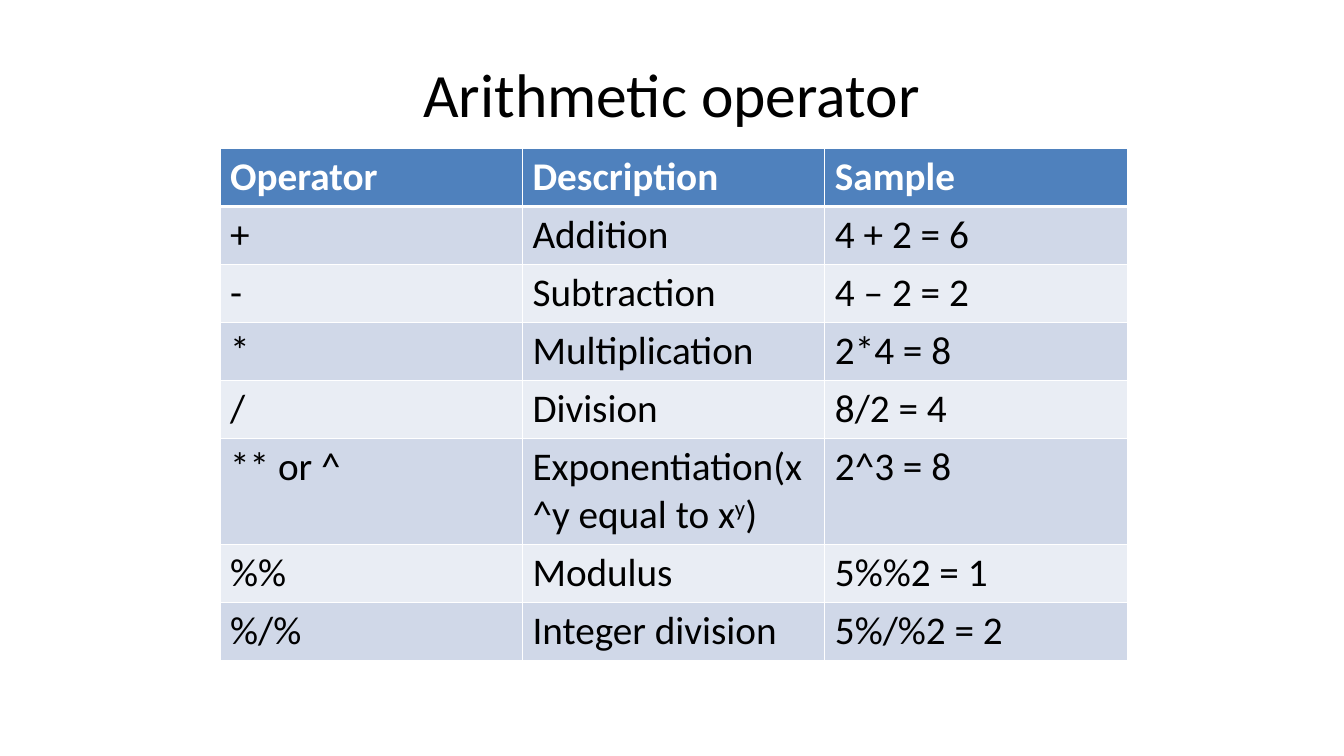
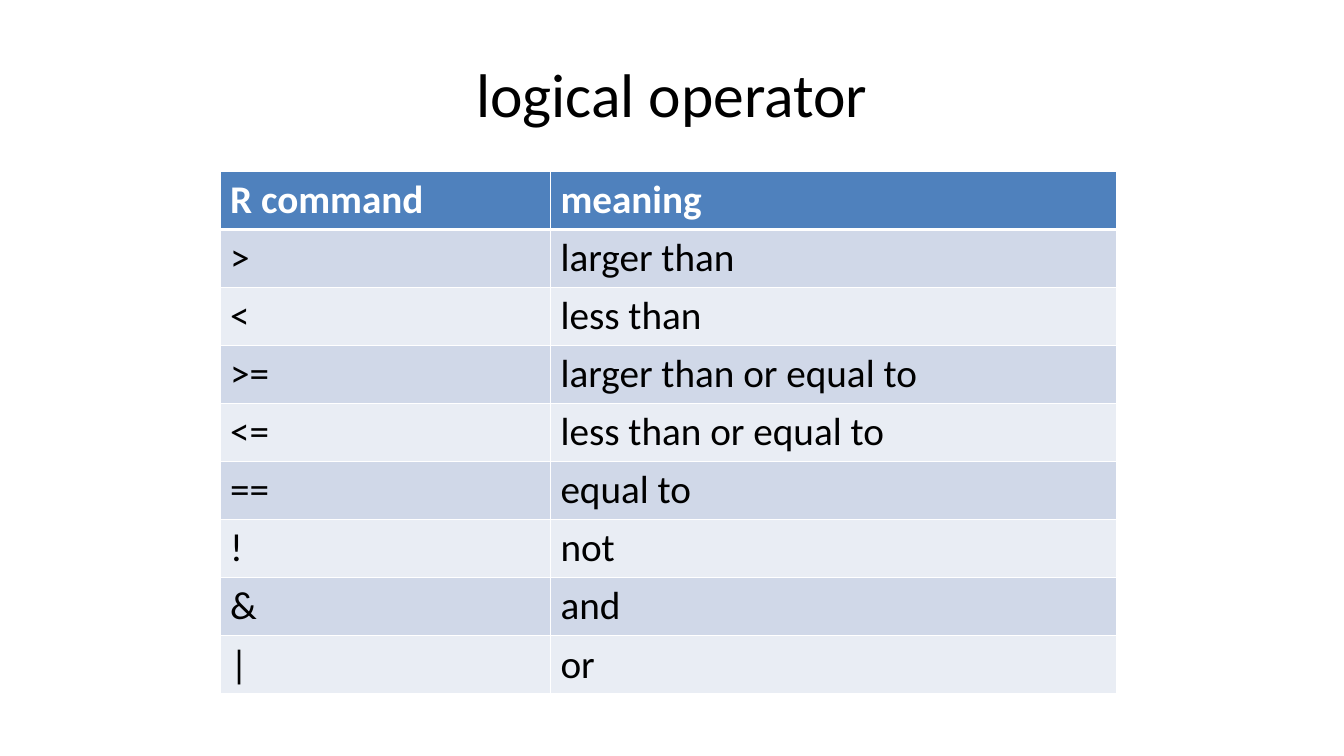
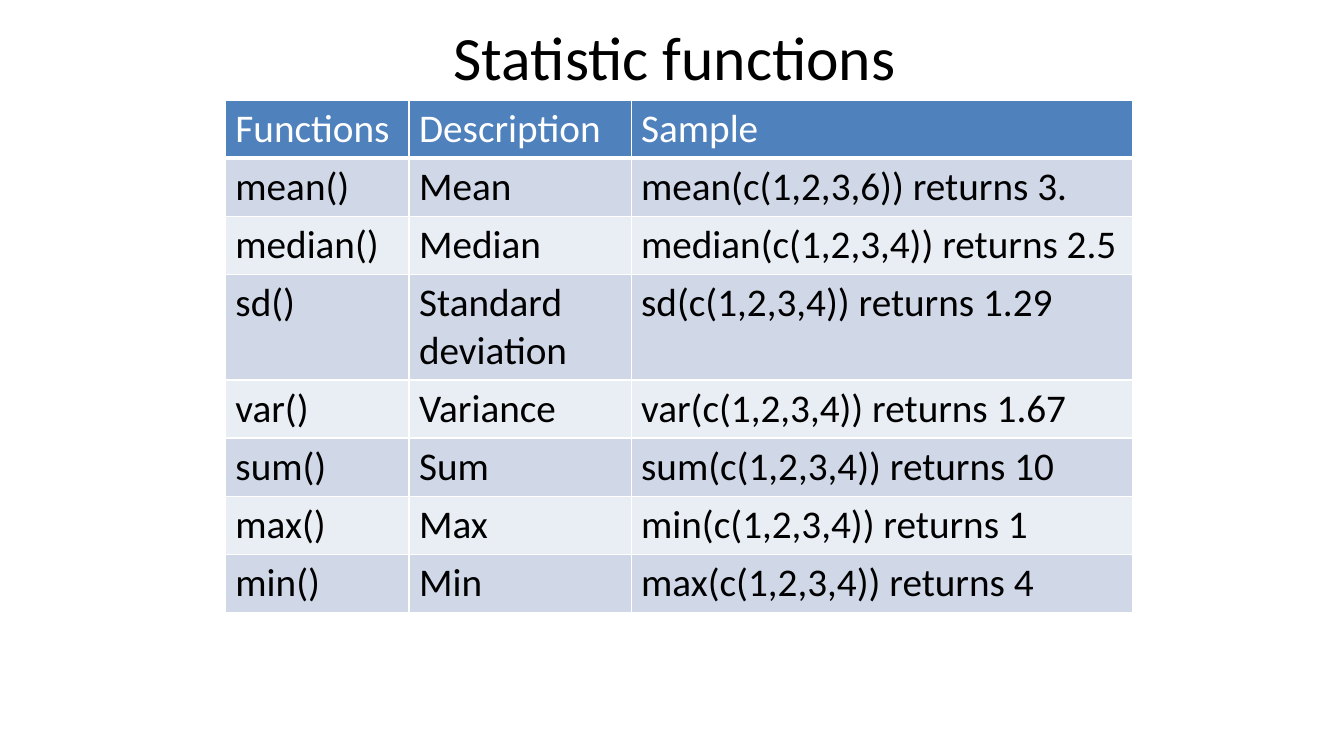
from dataclasses import dataclass

import lxml.etree
import pptx
import pptx.dml.color
import pptx.enum.text
import pptx.oxml.ns
import pptx.presentation
import pptx.slide
import pptx.table
import pptx.util

# Shared look
BLACK = pptx.dml.color.RGBColor(0x00, 0x00, 0x00)
WHITE = pptx.dml.color.RGBColor(0xFF, 0xFF, 0xFF)
HEADER_BLUE = pptx.dml.color.RGBColor(0x4F, 0x81, 0xBD)
BAND_DARK = pptx.dml.color.RGBColor(0xD0, 0xD8, 0xE8)
BAND_LIGHT = pptx.dml.color.RGBColor(0xE9, 0xED, 0xF4)
FONT = "Calibri"
TITLE_SIZE = 44
CELL_SIZE = 28
ROW_HEIGHT = 41.4
GRID_WIDTH = 1
HEADER_RULE_WIDTH = 3
TITLE_ONLY = 5


@dataclass(frozen=True)
class TextRun:
    text: str
    superscript: bool = False


Cell = str | tuple[TextRun, ...]


@dataclass(frozen=True)
class Box:
    left: float
    top: float
    width: float
    height: float


@dataclass(frozen=True)
class TableSlide:
    title: str
    title_box: Box
    table_left: float
    table_top: float
    column_widths: tuple[float, ...]
    rows: tuple[tuple[Cell, ...], ...]
    bold_header: bool = True


STANDARD_TITLE = Box(48, 21.6, 864, 90)
HIGH_TITLE = Box(48, 9.2, 868, 61.2)

# Content, header row first
SLIDES = (
    TableSlide(
        "Arithmetic operator", STANDARD_TITLE, 157.2, 106, (216, 216, 216),
        (
            ("Operator", "Description", "Sample"),
            ("+", "Addition", "4 + 2 = 6"),
            ("-", "Subtraction", "4 – 2 = 2"),
            ("*", "Multiplication", "2*4 = 8"),
            ("/", "Division", "8/2 = 4"),
            (
                "** or ^",
                (TextRun("Exponentiation(x^y equal to x"), TextRun("y", True), TextRun(")")),
                "2^3 = 8",
            ),
            ("%%", "Modulus", "5%%2 = 1"),
            ("%/%", "Integer division", "5%/%2 = 2"),
        ),
    ),
    TableSlide(
        "logical operator", STANDARD_TITLE, 157.2, 122.5, (236, 404.4),
        (
            ("R command", "meaning"),
            (">", "larger than"),
            ("<", "less than"),
            (">=", "larger than or equal to"),
            ("<=", "less than or equal to"),
            ("==", "equal to"),
            ("!", "not"),
            ("&", "and"),
            ("|", "or"),
        ),
    ),
    TableSlide(
        "Statistic functions", HIGH_TITLE, 161, 71.5, (131.2, 158.6, 358),
        (
            ("Functions", "Description", "Sample"),
            ("mean()", "Mean", "mean(c(1,2,3,6)) returns 3."),
            ("median()", "Median", "median(c(1,2,3,4)) returns 2.5"),
            ("sd()", "Standard deviation", "sd(c(1,2,3,4)) returns 1.29"),
            ("var()", "Variance", "var(c(1,2,3,4)) returns 1.67"),
            ("sum()", "Sum", "sum(c(1,2,3,4)) returns 10"),
            ("max()", "Max", "min(c(1,2,3,4)) returns 1"),
            ("min()", "Min", "max(c(1,2,3,4)) returns 4"),
        ),
        bold_header=False,
    ),
)


def add_run(paragraph, piece: TextRun, size: float,
            color: pptx.dml.color.RGBColor, bold: bool = False) -> None:
    run = paragraph.add_run()
    run.text = piece.text
    run.font.name = FONT
    run.font.size = pptx.util.Pt(size)
    run.font.bold = bold
    run.font.color.rgb = color
    if piece.superscript:
        run.font._element.set("baseline", "30000")


def draw_title(slide: pptx.slide.Slide, text: str, box: Box) -> None:
    title = slide.shapes.title
    title.left, title.top = pptx.util.Pt(box.left), pptx.util.Pt(box.top)
    title.width, title.height = pptx.util.Pt(box.width), pptx.util.Pt(box.height)
    frame = title.text_frame
    frame.word_wrap = True
    frame.auto_size = pptx.enum.text.MSO_AUTO_SIZE.NONE
    frame.vertical_anchor = pptx.enum.text.MSO_ANCHOR.MIDDLE
    frame.paragraphs[0].alignment = pptx.enum.text.PP_ALIGN.CENTER
    add_run(frame.paragraphs[0], TextRun(text), TITLE_SIZE, BLACK)


def set_borders(cell: pptx.table._Cell, row: int) -> None:
    """Draw the white grid, with a thicker rule under the header row."""
    qn = pptx.oxml.ns.qn
    properties = cell._tc.get_or_add_tcPr()
    widths = {
        "a:lnL": GRID_WIDTH,
        "a:lnR": GRID_WIDTH,
        "a:lnT": HEADER_RULE_WIDTH if row == 1 else GRID_WIDTH,
        "a:lnB": HEADER_RULE_WIDTH if row == 0 else GRID_WIDTH,
    }
    for tag, width in widths.items():
        line = lxml.etree.SubElement(properties, qn(tag), w=str(pptx.util.Pt(width)))
        fill = lxml.etree.SubElement(line, qn("a:solidFill"))
        lxml.etree.SubElement(fill, qn("a:srgbClr"), val=str(WHITE))


def draw_table(slide: pptx.slide.Slide, content: TableSlide) -> None:
    table = slide.shapes.add_table(
        len(content.rows), len(content.column_widths),
        pptx.util.Pt(content.table_left), pptx.util.Pt(content.table_top),
        pptx.util.Pt(sum(content.column_widths)),
        pptx.util.Pt(ROW_HEIGHT * len(content.rows)),
    ).table
    for column, width in zip(table.columns, content.column_widths):
        column.width = pptx.util.Pt(width)
    for row, entries in enumerate(content.rows):
        is_header = row == 0
        band = HEADER_BLUE if is_header else BAND_DARK if row % 2 else BAND_LIGHT
        for column, entry in enumerate(entries):
            cell = table.cell(row, column)
            set_borders(cell, row)
            cell.fill.solid()
            cell.fill.fore_color.rgb = band
            pieces = (TextRun(entry),) if isinstance(entry, str) else entry
            for piece in pieces:
                add_run(cell.text_frame.paragraphs[0], piece, CELL_SIZE,
                        WHITE if is_header else BLACK,
                        is_header and content.bold_header)


def draw_slide(deck: pptx.presentation.Presentation, content: TableSlide) -> None:
    slide = deck.slides.add_slide(deck.slide_layouts[TITLE_ONLY])
    draw_title(slide, content.title, content.title_box)
    draw_table(slide, content)


def main() -> None:
    deck = pptx.Presentation()
    deck.slide_width = pptx.util.Pt(960)
    deck.slide_height = pptx.util.Pt(540)
    for content in SLIDES:
        draw_slide(deck, content)
    deck.save("out.pptx")


if __name__ == "__main__":
    main()
